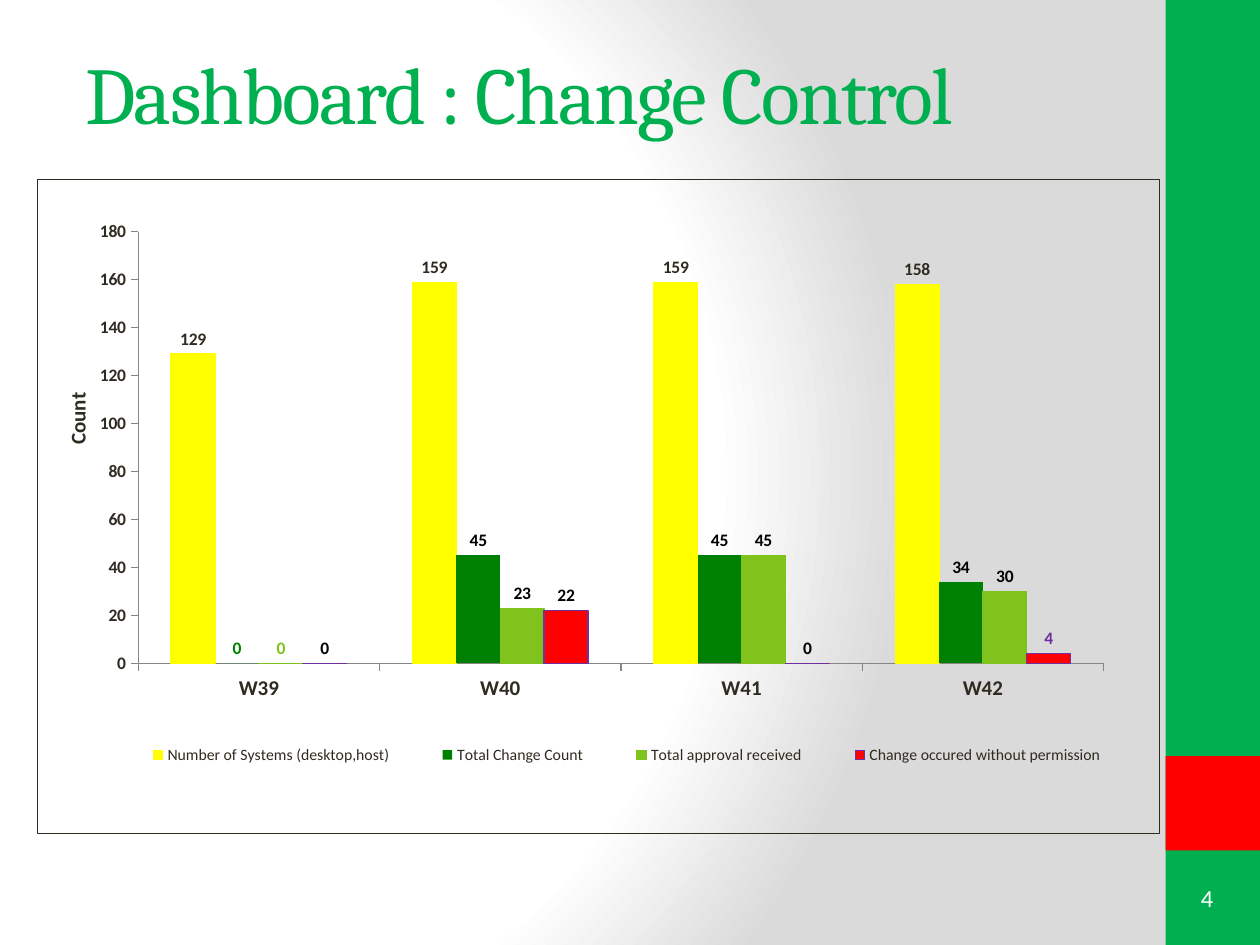
from lxml import etree
from pptx import Presentation
from pptx.chart.data import CategoryChartData
from pptx.dml.color import RGBColor
from pptx.enum.chart import XL_CHART_TYPE as ChartType, XL_LABEL_POSITION as LabelPosition
from pptx.enum.chart import XL_LEGEND_POSITION as LegendPosition, XL_TICK_MARK as TickMark
from pptx.enum.shapes import MSO_SHAPE as Shape
from pptx.enum.text import MSO_ANCHOR as Anchor, PP_ALIGN as Align
from pptx.oxml import parse_xml
from pptx.oxml.ns import nsdecls, qn
from pptx.util import Inches, Pt

GREEN = RGBColor(0x00, 0xB0, 0x50)
RED = RGBColor(0xFF, 0x00, 0x00)
WHITE = RGBColor(0xFF, 0xFF, 0xFF)
BLACK = RGBColor(0x00, 0x00, 0x00)
INK = RGBColor(0x2F, 0x2B, 0x20)
AXIS_GRAY = RGBColor(0x86, 0x86, 0x86)
SILVER = RGBColor(0xDA, 0xDA, 0xDA)
YELLOW = RGBColor(0xFF, 0xFF, 0x00)
DARK_GREEN = RGBColor(0x00, 0x80, 0x00)
LIME = RGBColor(0x7F, 0xC3, 0x1C)
PURPLE = RGBColor(0x70, 0x30, 0xA0)

WEEKS = ["W39", "W40", "W41", "W42"]
SERIES = [
    dict(name="Number of Systems (desktop,host)", values=(129, 159, 159, 158),
         fill=YELLOW, line=YELLOW, label=INK, accents={}),
    dict(name="Total Change Count", values=(0, 45, 45, 34),
         fill=DARK_GREEN, line=None, label=BLACK, accents={0: DARK_GREEN}),
    dict(name="Total approval received", values=(0, 23, 45, 30),
         fill=LIME, line=LIME, label=BLACK, accents={0: LIME}),
    dict(name="Change occured without permission", values=(0, 22, 0, 4),
         fill=RED, line=PURPLE, label=BLACK, accents={3: PURPLE}),
]


def format_font(font, size, color=INK, bold=False, name="Calibri"):
    font.size, font.bold, font.name = Pt(size), bold, name
    font.color.rgb = color


def write_text(frame, text, align=Align.LEFT, spacing=0, **font_format):
    paragraph = frame.paragraphs[0]
    paragraph.alignment = align
    run = paragraph.add_run()
    run.text = text
    format_font(run.font, **font_format)
    if spacing:
        run.font._element.set("spc", str(spacing * 100))


def set_layout(element, index, box, inner=False):
    for layout in element.findall(qn("c:layout")):
        element.remove(layout)
    target = '<c:layoutTarget val="inner"/>' if inner else ""
    modes = "".join(f'<c:{axis}Mode val="edge"/>' for axis in "xy")
    sizes = "".join(f'<c:{key} val="{value}"/>' for key, value in zip("xywh", box))
    element.insert(index, parse_xml(
        f'<c:layout {nsdecls("c")}><c:manualLayout>{target}{modes}{sizes}'
        '</c:manualLayout></c:layout>'))


class Dashboard:
    """Hold the style and the slide, and add each kind of element."""

    def __init__(self, presentation):
        self.slide = presentation.slides.add_slide(presentation.slide_layouts[6])

    def background(self, stops):
        fill = self.slide.background.fill
        fill.gradient()
        old = self.slide.background._cSld.find(".//" + qn("a:gradFill"))
        marks = "".join(f'<a:gs pos="{position * 1000}"><a:srgbClr val="{color}"/></a:gs>'
                        for position, color in stops)
        old.getparent().replace(old, parse_xml(
            f'<a:gradFill {nsdecls("a")} rotWithShape="1"><a:gsLst>{marks}</a:gsLst>'
            '<a:path path="circle"><a:fillToRect l="20000" t="50000" r="100000" b="50000"/>'
            '</a:path></a:gradFill>'))

    def band(self, top, height, color):
        shape = self.slide.shapes.add_shape(
            Shape.RECTANGLE, Inches(9.25), Inches(top), Inches(0.75), Inches(height))
        shape.shadow.inherit = False
        shape.fill.solid()
        shape.fill.fore_color.rgb = color
        shape.line.fill.background()

    def text(self, box, text, anchor=Anchor.TOP, inset=None, **text_format):
        frame = self.slide.shapes.add_textbox(*map(Inches, box)).text_frame
        frame.word_wrap = True
        frame.vertical_anchor = anchor
        if inset is not None:
            frame.margin_left = frame.margin_right = Inches(inset)
            frame.margin_top = frame.margin_bottom = Inches(inset)
        write_text(frame, text, **text_format)

    def chart(self, box, weeks, series_list):
        data = CategoryChartData()
        data.categories = weeks
        for entry in series_list:
            data.add_series(entry["name"], entry["values"])
        chart = self.slide.shapes.add_chart(
            ChartType.COLUMN_CLUSTERED, *map(Inches, box), data).chart
        chart.has_title = False
        format_font(chart.font, 14)
        plot = chart.plots[0]
        plot.gap_width, plot.overlap, plot.vary_by_categories = 150, 0, False
        for series, entry in zip(plot.series, series_list):
            self.style_series(series, entry)
        self.style_axes(chart)
        self.style_frame(chart)

    def style_series(self, series, entry):
        series.format.fill.solid()
        series.format.fill.fore_color.rgb = entry["fill"]
        if entry["line"] is None:
            series.format.line.fill.background()
        else:
            series.format.line.color.rgb = entry["line"]
            series.format.line.width = Pt(0.75)
        labels = series.data_labels
        labels.show_value = True
        labels.position = LabelPosition.OUTSIDE_END
        format_font(labels.font, 10, entry["label"], bold=True)
        for index, color in entry["accents"].items():
            label = series.points[index].data_label
            format_font(label.font, 10, color, bold=True)
            label.position = LabelPosition.OUTSIDE_END

    def style_axes(self, chart):
        for axis, size in ((chart.category_axis, 12), (chart.value_axis, 10)):
            axis.has_major_gridlines = False
            axis.major_tick_mark = TickMark.OUTSIDE
            axis.minor_tick_mark = TickMark.NONE
            axis.format.line.color.rgb = AXIS_GRAY
            axis.format.line.width = Pt(0.75)
            format_font(axis.tick_labels.font, size, bold=True)
        axis = chart.value_axis
        axis.minimum_scale, axis.maximum_scale, axis.major_unit = 0, 180, 20
        title = axis.axis_title
        write_text(title.text_frame, "Count", size=12, bold=True)
        set_layout(title._element, 1, (0.02, 0.32))

    def style_frame(self, chart):
        chart.has_legend = True
        legend = chart.legend
        legend.position = LegendPosition.BOTTOM
        legend.include_in_layout = False
        format_font(legend.font, 9)
        set_layout(legend._element, 1, (0.06, 0.85, 0.93, 0.06))
        space = chart.element
        plot_area = space.find(".//" + qn("c:plotArea"))
        set_layout(plot_area, 0, (0.09, 0.08, 0.86, 0.66), inner=True)
        area = etree.SubElement(plot_area, qn("c:spPr"))
        etree.SubElement(area, qn("a:noFill"))
        space.find(qn("c:chart")).addnext(parse_xml(
            f'<c:spPr {nsdecls("c", "a")}><a:noFill/><a:ln w="{Pt(0.75)}"><a:solidFill>'
            f'<a:srgbClr val="{INK}"/></a:solidFill></a:ln></c:spPr>'))


presentation = Presentation()
presentation.slide_width, presentation.slide_height = Inches(10), Inches(7.5)
dashboard = Dashboard(presentation)
dashboard.background([(0, WHITE), (75, WHITE), (100, SILVER)])
dashboard.band(0, 7.5, GREEN)
dashboard.band(6, 0.75, RED)
dashboard.chart((0.29, 1.42, 8.92, 5.2), WEEKS, SERIES)
dashboard.text((9.33, 6.92, 0.5, 0.41), "4", anchor=Anchor.MIDDLE, inset=0,
               align=Align.CENTER, size=14, color=WHITE)
dashboard.text((0.58, 0.3, 8.33, 1.25), "Dashboard : Change Control",
               size=46, color=GREEN, name="Cambria", spacing=-1)
presentation.save("out.pptx")
